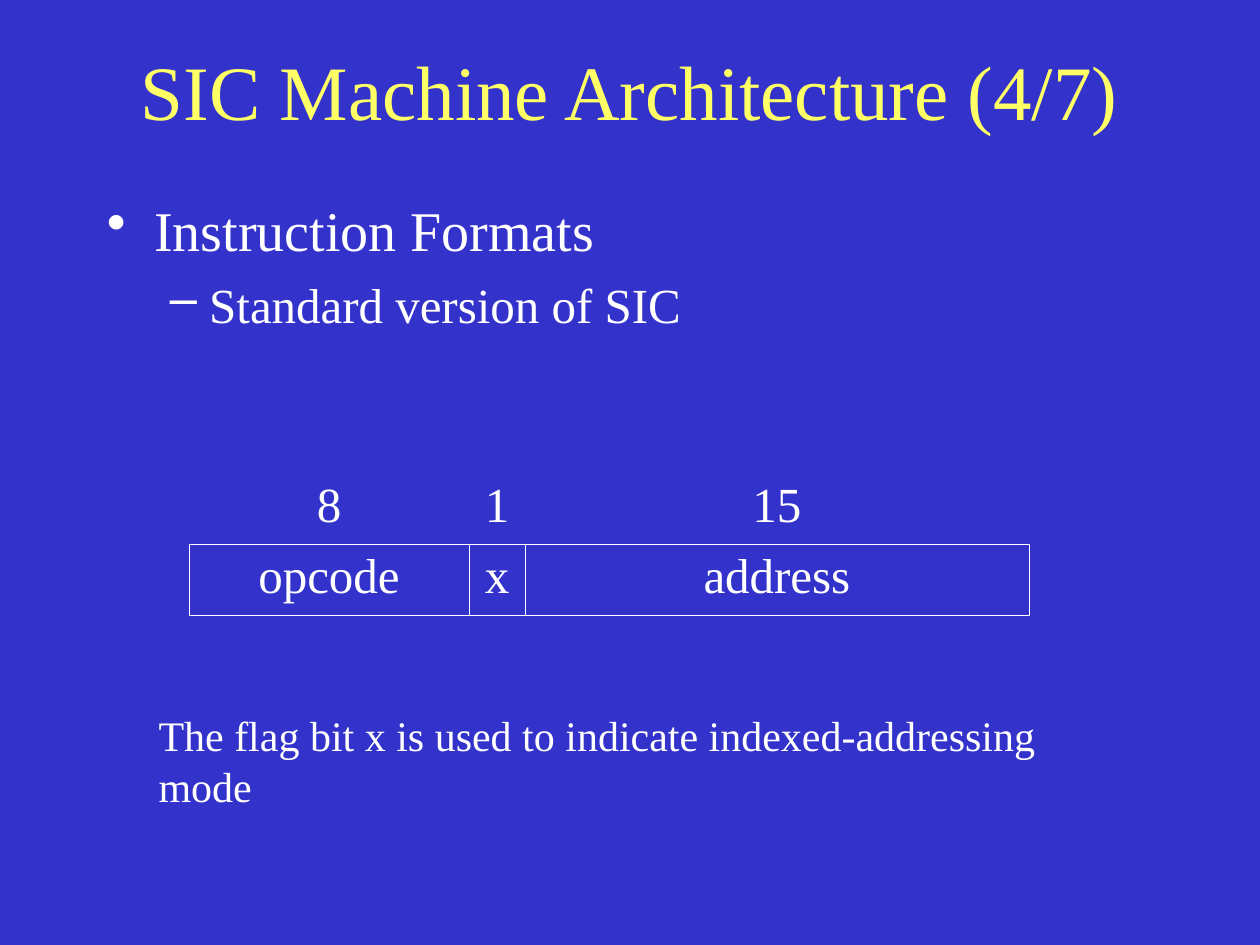
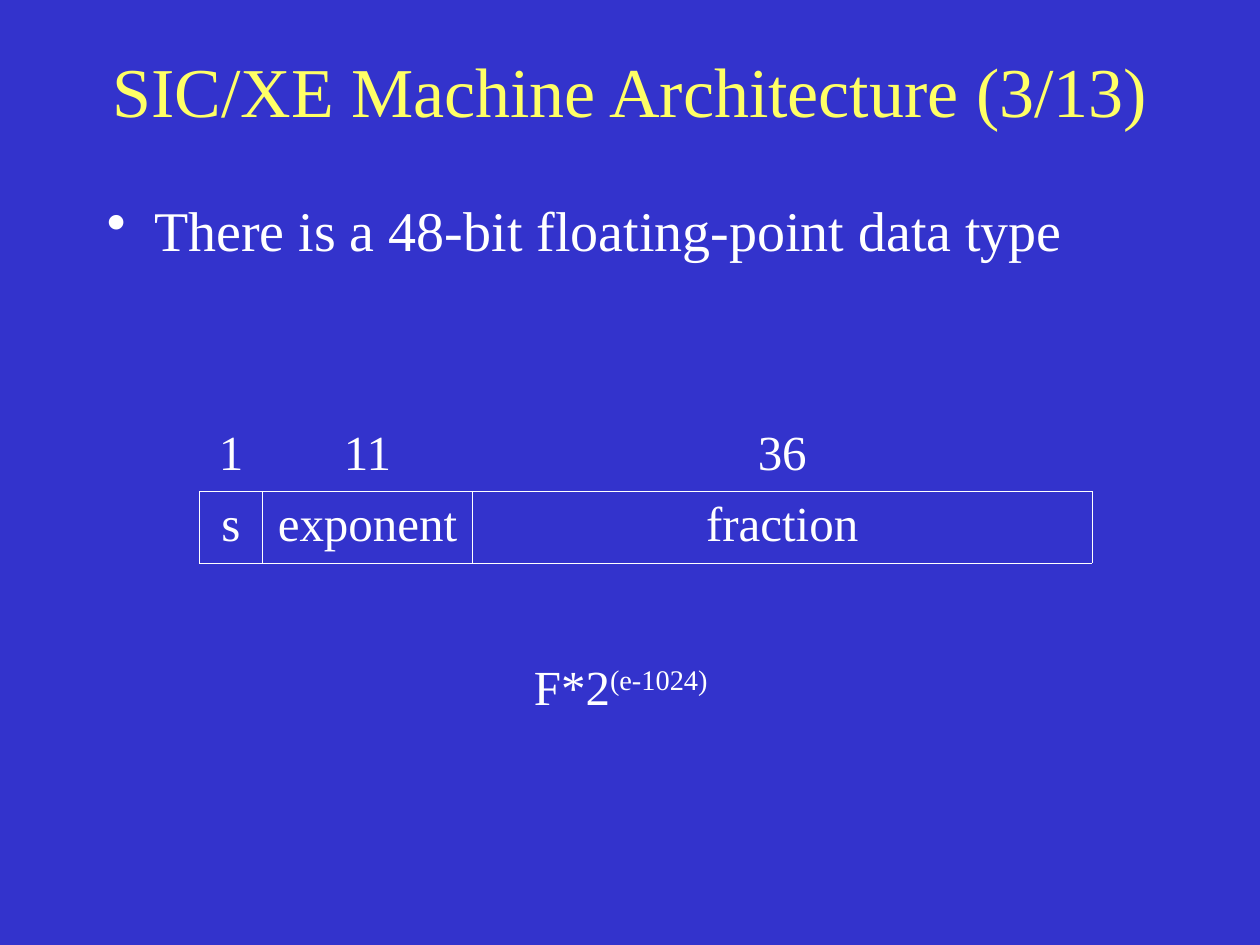
"""Build two slides on the instruction and floating-point formats of SIC machines."""
import lxml.etree
import pptx
import pptx.dml.color
import pptx.enum.text
import pptx.oxml.ns
import pptx.util

Pt = pptx.util.Pt
qn = pptx.oxml.ns.qn
ALIGN = pptx.enum.text.PP_ALIGN
ANCHOR = pptx.enum.text.MSO_ANCHOR

BLUE = pptx.dml.color.RGBColor(0x33, 0x33, 0xCC)
YELLOW = pptx.dml.color.RGBColor(0xFF, 0xFF, 0x66)
WHITE = pptx.dml.color.RGBColor(0xFF, 0xFF, 0xFF)
FONT = "Times New Roman"
LEVELS = [("•", 32, 27, 27), ("–", 28, 58.5, 22.5)]
ROW_HEIGHT = 40.8


def add_text(paragraph, text, size=28, color=WHITE, align=ALIGN.LEFT, superscript=False):
    """Append a formatted run to a paragraph."""
    paragraph.alignment = align
    run = paragraph.add_run()
    run.text = text
    run.font.size = Pt(size)
    run.font.name = FONT
    run.font.color.rgb = color
    if superscript:
        run._r.get_or_add_rPr().set("baseline", "30000")


def add_fill(parent, tag, color):
    """Append an element holding a colour, wrapped in the given tag."""
    holder = lxml.etree.SubElement(parent, qn(tag))
    lxml.etree.SubElement(holder, qn("a:srgbClr"), val=str(color))


def set_bullet(paragraph, mark, left, hanging):
    """Give a paragraph a white bullet and a hanging indent."""
    properties = paragraph._p.get_or_add_pPr()
    properties.set("marL", str(Pt(left)))
    properties.set("indent", str(-Pt(hanging)))
    add_fill(properties, "a:buClr", WHITE)
    lxml.etree.SubElement(properties, qn("a:buChar"), char=mark)


def set_borders(cell, visible):
    """Draw the listed cell sides in white and hide the others."""
    properties = cell._tc.get_or_add_tcPr()
    for side in "LRTB":
        line = lxml.etree.SubElement(properties, qn(f"a:ln{side}"), w=str(Pt(0.45)))
        if side in visible:
            add_fill(line, "a:solidFill", WHITE)
        else:
            lxml.etree.SubElement(line, qn("a:noFill"))
    cell.fill.background()


class Deck:
    """Hold the shared style and the current slide."""

    def __init__(self):
        self.presentation = pptx.Presentation()
        self.presentation.slide_width = Pt(720)
        self.presentation.slide_height = Pt(540)
        background = self.presentation.slide_master.background.fill
        background.solid()
        background.fore_color.rgb = BLUE
        self.slide = None

    def start_slide(self, heading, size):
        """Add a slide with its title."""
        self.slide = self.presentation.slides.add_slide(self.presentation.slide_layouts[5])
        title = self.slide.shapes.title
        title.left, title.top, title.width, title.height = Pt(54), Pt(18), Pt(612), Pt(66)
        title.text_frame.auto_size = pptx.enum.text.MSO_AUTO_SIZE.NONE
        title.text_frame.vertical_anchor = ANCHOR.MIDDLE
        add_text(title.text_frame.paragraphs[0], heading, size, YELLOW, ALIGN.CENTER)

    def add_box(self, left, top, width, height, wrap):
        """Add an empty text box and return its text frame."""
        frame = self.slide.shapes.add_textbox(Pt(left), Pt(top), Pt(width), Pt(height)).text_frame
        frame.word_wrap = wrap
        return frame

    def add_outline(self, height, *points):
        """Add bulleted points, each one level below the last."""
        frame = self.add_box(54, 108, 612, height, True)
        for level, (point, (mark, size, left, hanging)) in enumerate(zip(points, LEVELS)):
            paragraph = frame.add_paragraph() if level else frame.paragraphs[0]
            paragraph.level = level
            if level:
                paragraph.space_before = Pt(7)
            set_bullet(paragraph, mark, left, hanging)
            add_text(paragraph, point, size)

    def add_format(self, left, top, fields):
        """Add a table of bit counts above framed field names."""
        width = sum(field[2] for field in fields)
        table = self.slide.shapes.add_table(
            2, len(fields), Pt(left), Pt(top), Pt(width), Pt(2 * ROW_HEIGHT)).table
        table.first_row = table.horz_banding = False
        for row in table.rows:
            row.height = Pt(ROW_HEIGHT)
        for column, (bits, name, field_width) in enumerate(fields):
            table.columns[column].width = Pt(field_width)
            for row, (text, sides) in enumerate([(bits, "B"), (name, "LRTB")]):
                cell = table.cell(row, column)
                set_borders(cell, sides)
                add_text(cell.text_frame.paragraphs[0], text, align=ALIGN.CENTER)

    def add_note(self, left, top, width, height, text, size=28, exponent=None):
        """Add a one-line note, with an optional superscript."""
        paragraph = self.add_box(left, top, width, height, False).paragraphs[0]
        add_text(paragraph, text, size)
        if exponent:
            add_text(paragraph, exponent, size, superscript=True)


def main():
    """Build and save both slides."""
    deck = Deck()

    deck.start_slide("SIC Machine Architecture (4/7)", 44)
    deck.add_outline(110, "Instruction Formats", "Standard version of SIC")
    deck.add_format(108, 270, [("8", "opcode", 160), ("1", "x", 32), ("15", "address", 288)])
    deck.add_note(83.5, 402, 574.5, 36,
                  "The flag bit x is used to indicate indexed-addressing mode", 24)

    deck.start_slide("SIC/XE Machine Architecture (3/13)", 40)
    deck.add_outline(55.5, "There is a 48-bit floating-point data type")
    deck.add_format(114, 240, [("1", "s", 36), ("11", "exponent", 120), ("36", "fraction", 354)])
    deck.add_note(298, 371.5, 114, 41, "F*2", exponent="(e-1024)")

    deck.presentation.save("out.pptx")


if __name__ == "__main__":
    main()
